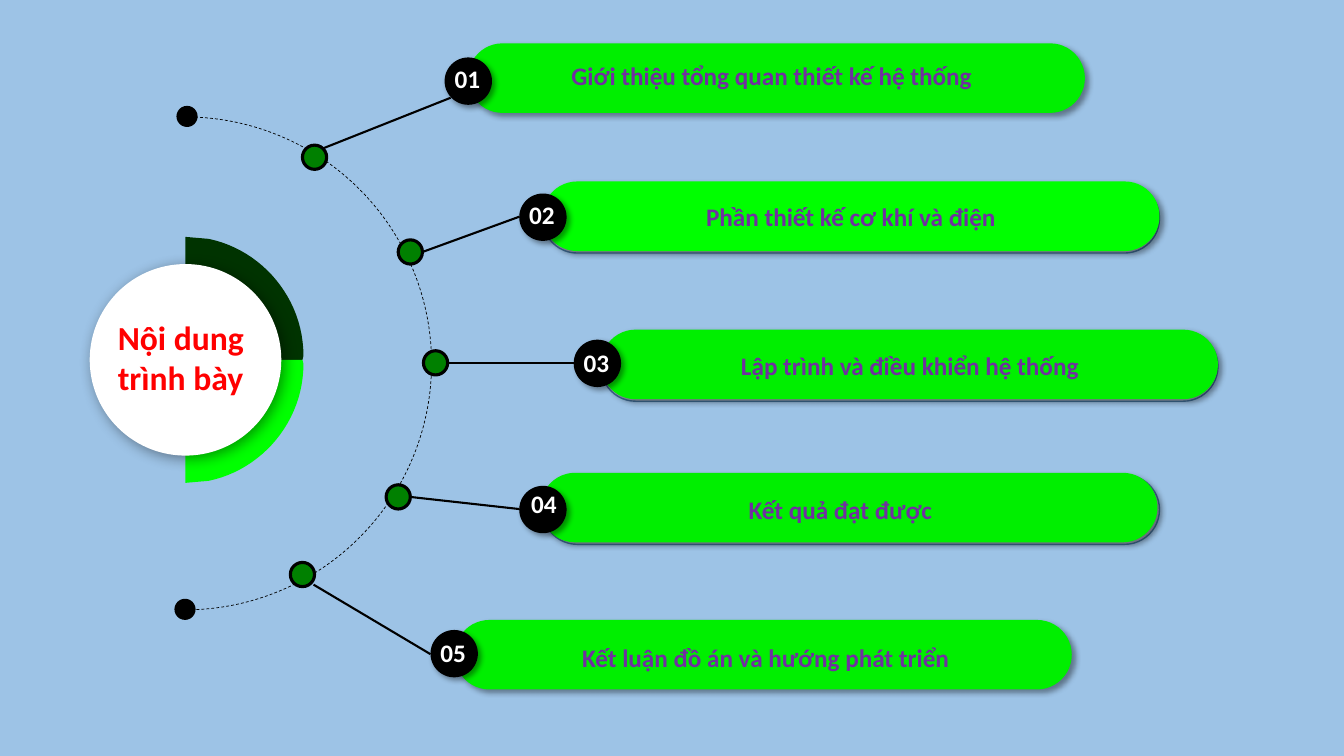
from lxml import etree
from pptx import Presentation
from pptx import util as u
from pptx.dml.color import RGBColor
from pptx.enum import dml, shapes, text
from pptx.oxml import ns

SKY = RGBColor(0x9D, 0xC3, 0xE6)
LIME = RGBColor(0x00, 0xFF, 0x00)
GREEN = RGBColor(0x00, 0xEF, 0x00)
FOREST = RGBColor(0x00, 0x80, 0x00)
DARK = RGBColor(0x00, 0x33, 0x00)
STEEL = RGBColor(0xAD, 0xB9, 0xCA)
BLUE = RGBColor(0x43, 0x73, 0x9E)
PURPLE = RGBColor(0x70, 0x30, 0xA0)
RED = RGBColor(0xFF, 0x00, 0x00)
BLACK = RGBColor(0x00, 0x00, 0x00)
WHITE = RGBColor(0xFF, 0xFF, 0xFF)

KIND = shapes.MSO_SHAPE
BAR = (6.12, 0.69)
DOT = (0.24, 0.24)
BADGE = (0.47, 0.47)
MID = 3.57


class Board:
    font = "Calibri"

    def __init__(self, deck):
        self.slide = deck.slides.add_slide(deck.slide_layouts[6])
        self.items = self.slide.shapes
        fill = self.slide.background.fill
        fill.solid()
        fill.fore_color.rgb = SKY

    def paint(self, item, fill, line=None, width=1, blur=0):
        item.shadow.inherit = False
        if fill is None:
            item.fill.background()
        else:
            item.fill.solid()
            item.fill.fore_color.rgb = fill
        if line is None:
            item.line.fill.background()
        else:
            item.line.color.rgb = line
            item.line.width = u.Pt(width)
        if blur:
            self.shade(item, blur)
        return item

    def shade(self, item, blur):
        effects = item.element.spPr.find(ns.qn("a:effectLst"))
        outer = etree.SubElement(
            effects, ns.qn("a:outerShdw"), blurRad=str(u.Pt(blur)),
            dist=str(u.Pt(3)), dir="2700000", algn="tl", rotWithShape="0")
        tone = etree.SubElement(outer, ns.qn("a:srgbClr"), val=str(BLACK))
        etree.SubElement(tone, ns.qn("a:alpha"), val="40000")

    def shape(self, kind, spot, size, fill, **style):
        box = [u.Inches(n) for n in (*spot, *size)]
        return self.paint(self.items.add_shape(kind, *box), fill, **style)

    def bar(self, spot, fill, **style):
        item = self.shape(KIND.ROUNDED_RECTANGLE, spot, BAR, fill, **style)
        item.adjustments[0] = 0.5

    def arc(self, spot, size):
        item = self.shape(KIND.ARC, spot, size, None, line=BLACK, width=0.5)
        item.adjustments[0] = 162
        item.adjustments[1] = 55.36
        item.line.dash_style = dml.MSO_LINE.DASH

    def outline(self, points, fill):
        spots = [(u.Inches(x), u.Inches(y)) for x, y in points]
        pen = self.items.build_freeform(*spots[0])
        pen.add_line_segments(spots[1:], close=True)
        self.paint(pen.convert_to_shape(), fill)

    def line(self, start, end):
        ends = [u.Inches(n) for n in (*start, *end)]
        item = self.items.add_connector(shapes.MSO_CONNECTOR.STRAIGHT, *ends)
        item.line.color.rgb = BLACK
        item.line.width = u.Pt(1.5)
        etree.SubElement(item.element.spPr, ns.qn("a:effectLst"))

    def text(self, spot, size, lines, points, color, align=text.PP_ALIGN.LEFT):
        box = self.items.add_textbox(*[u.Inches(n) for n in (*spot, *size)])
        frame = box.text_frame
        frame.word_wrap = True
        frame.auto_size = text.MSO_AUTO_SIZE.SHAPE_TO_FIT_TEXT
        for i, words in enumerate(lines):
            para = frame.add_paragraph() if i else frame.paragraphs[0]
            para.alignment = align
            run = para.add_run()
            run.text = words
            run.font.name = self.font
            run.font.size = u.Pt(points)
            run.font.bold = True
            run.font.color.rgb = color


def wedge(flip):
    curve = ((2.07, 2.37), (2.6, 2.48), (3.01, 2.96), (3.01, 3.53))
    points = [(1.84, 2.35)]
    steps = 24
    for i in range(steps + 1):
        t = i / steps
        parts = ((1 - t) ** 3, 3 * t * (1 - t) ** 2, 3 * t * t * (1 - t), t ** 3)
        points.append(tuple(sum(w * p[k] for w, p in zip(parts, curve))
                            for k in (0, 1)))
    points += [(3, MID), (1.84, MID)]
    return [(x, 2 * MID - y if flip else y) for x, y in points]


TOPICS = [
    ("Giới thiệu tổng quan thiết kế hệ thống", (4.64, 0.43), GREEN, None,
     (3, 1.44), (4.41, 0.57), (3.21, 1.47), (4.47, 0.97),
     (4.41, 0.58), (5.04, 0.55), 5.23),
    ("Phần thiết kế cơ khí và điện", (5.38, 1.8), LIME, (5.38, 1.82),
     (3.95, 2.38), (5.15, 1.92), (4.19, 2.5), (5.15, 2.15),
     (5.15, 1.93), (5.88, 1.95), 5.12),
    ("Lập trình và điều khiển hệ thống", (5.96, 3.27), GREEN, (5.96, 3.29),
     (4.2, 3.48), (5.69, 3.37), (4.44, 3.6), (5.69, 3.6),
     (5.69, 3.4), (6.47, 3.43), 5.11),
    ("Kết quả đạt được", (5.36, 4.69), GREEN, (5.38, 4.71),
     (3.83, 4.81), (5.15, 4.82), (4.07, 4.93), (5.15, 5.05),
     (5.17, 4.8), (5.8, 4.85), 5.07),
    ("Kết luận đồ án và hướng phát triển", (4.51, 6.15), GREEN, None,
     (2.88, 5.58), (4.27, 6.25), (3.11, 5.8), (4.27, 6.49),
     (4.27, 6.27), (4.98, 6.32), 5.23),
]


def main():
    deck = Presentation()
    deck.slide_width = u.Inches(13.33)
    deck.slide_height = u.Inches(7.5)
    board = Board(deck)

    board.outline(wedge(False), DARK)
    board.outline(wedge(True), LIME)
    board.shape(KIND.OVAL, (0.89, 2.62), (1.9, 1.9), WHITE, blur=10)
    board.arc((-0.61, 1.16), (4.89, 4.89))
    for spot in ((1.75, 1.05), (1.73, 5.94)):
        board.shape(KIND.OVAL, spot, (0.21, 0.21), BLACK)
    board.text((1.07, 3.09), (1.71, 0.91), ["Nội dung", "trình bày"], 24, RED)

    for i, topic in enumerate(TOPICS, 1):
        title, bar, fill, under, dot, badge, start, end, num, label, wide = topic
        if under:
            board.bar(under, STEEL, line=BLUE)
        board.bar(bar, fill, blur=4)
        board.shape(KIND.OVAL, dot, DOT, FOREST, line=BLACK, width=2.25)
        board.shape(KIND.OVAL, badge, BADGE, BLACK, blur=4)
        board.line(start, end)
        board.text(num, (0.48, 0.4), [f"{i:02}"], 18, WHITE)
        board.text(label, (wide, 0.4), [title], 18, PURPLE,
                   text.PP_ALIGN.CENTER)

    deck.save("out.pptx")


if __name__ == "__main__":
    main()
